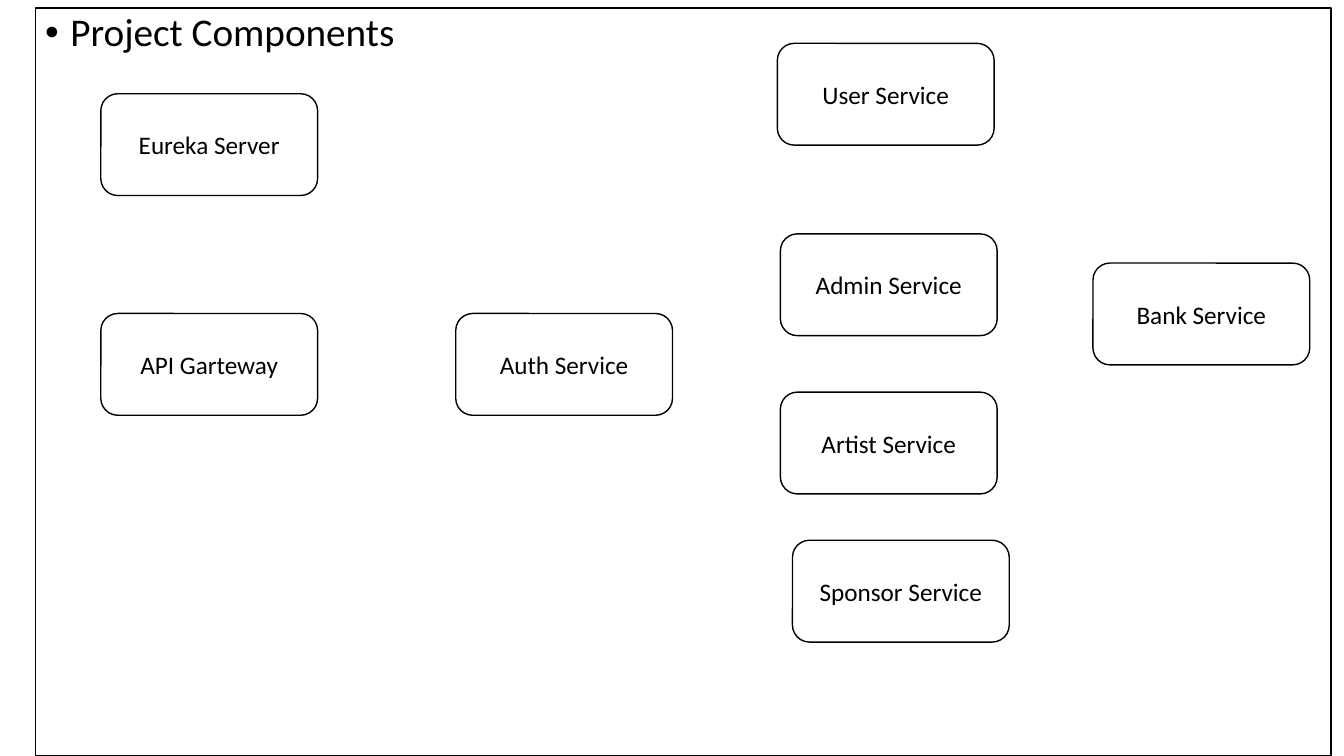
import pptx
import pptx.dml.color
import pptx.enum.shapes
import pptx.enum.text
import pptx.oxml
import pptx.util
from pptx.util import Inches

BLACK = "000000"
WHITE = "FFFFFF"
FONT = "Calibri"
SERVICE_WIDTH, SERVICE_HEIGHT = 2.15, 1.01

SERVICES = [
    ("Eureka Server", 1, 0.93),
    ("API Garteway", 1, 3.11),
    ("Auth Service", 4.52, 3.11),
    ("User Service", 7.71, 0.43),
    ("Admin Service", 7.74, 2.32),
    ("Artist Service", 7.74, 3.89),
    ("Sponsor Service", 7.86, 5.36),
    ("Bank Service", 10.84, 2.61),
]


def color(value):
    return pptx.dml.color.RGBColor.from_string(value)


def add_box(slide, kind, left, top, width, height):
    shape = slide.shapes.add_shape(
        kind, Inches(left), Inches(top), Inches(width), Inches(height))
    shape.shadow.inherit = False
    shape.fill.solid()
    shape.fill.fore_color.rgb = color(WHITE)
    shape.line.color.rgb = color(BLACK)
    shape.line.width = pptx.util.Pt(1)
    return shape


def write_text(shape, text, size, align, anchor):
    frame = shape.text_frame
    frame.word_wrap = True
    frame.vertical_anchor = anchor
    paragraph = frame.paragraphs[0]
    paragraph.alignment = align
    run = paragraph.add_run()
    run.text = text
    run.font.name = FONT
    run.font.size = pptx.util.Pt(size)
    run.font.color.rgb = color(BLACK)
    return paragraph


def add_bullet(paragraph, indent):
    properties = paragraph._p.get_or_add_pPr()
    properties.set("marL", str(Inches(indent)))
    properties.set("indent", str(-Inches(indent)))
    namespace = 'xmlns:a="http://schemas.openxmlformats.org/drawingml/2006/main"'
    for element in ('a:buFont {} typeface="Arial"', 'a:buChar {} char="•"'):
        properties.append(pptx.oxml.parse_xml(f"<{element.format(namespace)}/>"))


def add_heading_panel(slide):
    panel = add_box(
        slide, pptx.enum.shapes.MSO_SHAPE.RECTANGLE, 0.35, 0.08, 12.85, 7.42)
    heading = write_text(
        panel, "Project Components", size=28,
        align=pptx.enum.text.PP_ALIGN.LEFT, anchor=pptx.enum.text.MSO_ANCHOR.TOP)
    heading.line_spacing = 0.9
    heading.space_before = pptx.util.Pt(10)
    add_bullet(heading, 0.25)


def add_service(slide, name, left, top):
    service = add_box(
        slide, pptx.enum.shapes.MSO_SHAPE.ROUNDED_RECTANGLE,
        left, top, SERVICE_WIDTH, SERVICE_HEIGHT)
    write_text(
        service, name, size=18,
        align=pptx.enum.text.PP_ALIGN.CENTER, anchor=pptx.enum.text.MSO_ANCHOR.MIDDLE)


def main():
    presentation = pptx.Presentation()
    presentation.slide_width = Inches(13.33)
    presentation.slide_height = Inches(7.5)
    slide = presentation.slides.add_slide(presentation.slide_layouts[6])
    add_heading_panel(slide)
    for name, left, top in SERVICES:
        add_service(slide, name, left, top)
    presentation.save("out.pptx")


if __name__ == "__main__":
    main()
